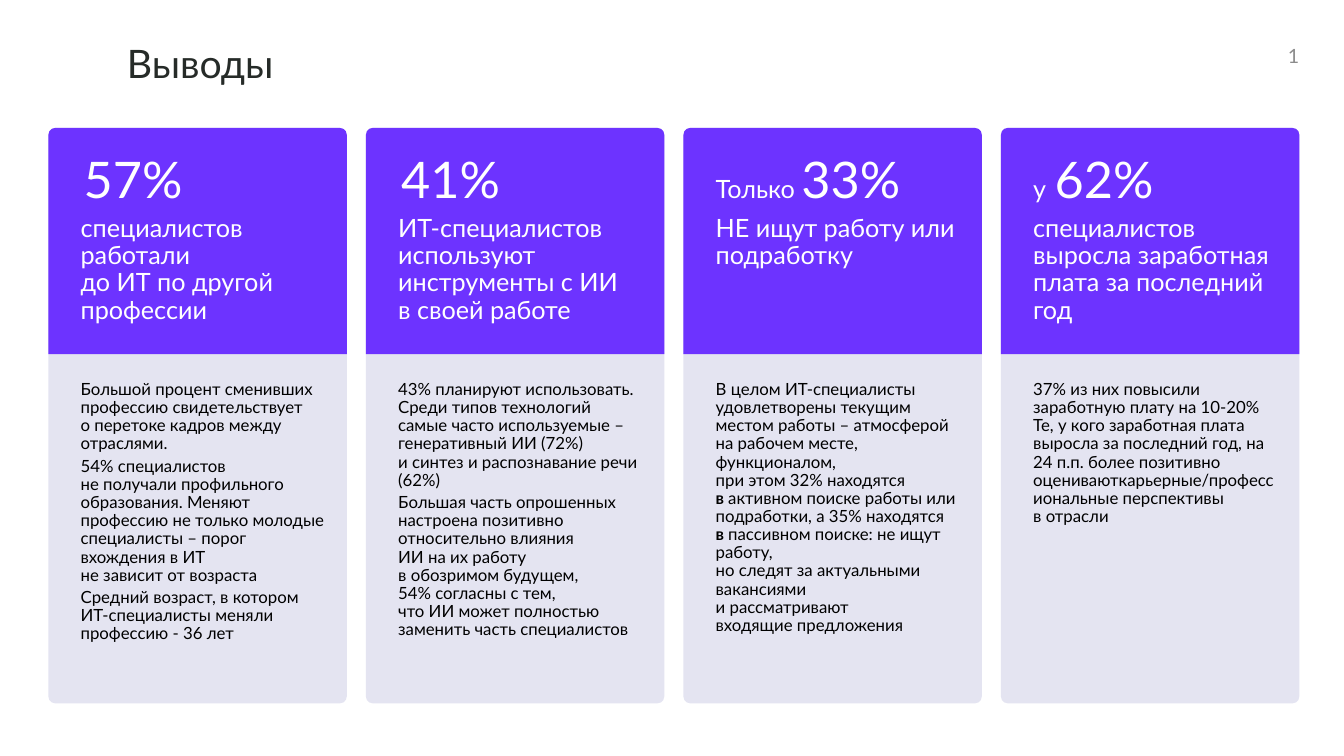
from copy import deepcopy

from lxml.etree import SubElement
from pptx import Presentation
from pptx.dml.color import RGBColor
from pptx.enum.shapes import MSO_SHAPE as Shape
from pptx.enum.text import MSO_ANCHOR as Anchor, PP_ALIGN as Align
from pptx.oxml.ns import qn
from pptx.util import Pt

COLORS = {
    "title": "262B28",
    "header": "6D33FF",
    "card": "CACAE5",
    "on_header": "FFFFFF",
    "body": "000000",
    "number": "8C8C8C",
}


class ConclusionSlide:
    font_name = "Lato"

    def __init__(self, slide):
        self.slide = slide

    def panel(self, preset, box, color, corners, opacity=100):
        panel = self.slide.shapes.add_shape(preset, *map(Pt, box))
        panel.shadow.inherit = False
        panel.line.fill.background()
        panel.fill.solid()
        panel.fill.fore_color.rgb = RGBColor.from_string(COLORS[color])
        for index, radius in enumerate(corners):
            panel.adjustments[index] = radius
        if opacity < 100:
            tint = panel.fill._xPr.find(".//" + qn("a:srgbClr"))
            SubElement(tint, qn("a:alpha"), val=str(opacity * 1000))

    def text(self, box, paragraphs, size, color, anchor=Anchor.TOP, **layout):
        """Each paragraph is a list of (text, changed font values) runs."""
        frame = self.slide.shapes.add_textbox(*map(Pt, box)).text_frame
        frame_format = {"word_wrap": True, "vertical_anchor": anchor,
                        "margin_left": 0, "margin_right": 0,
                        "margin_top": 0, "margin_bottom": 0}
        for name, value in frame_format.items():
            setattr(frame, name, value)
        for index, runs in enumerate(paragraphs):
            paragraph = frame.add_paragraph() if index else frame.paragraphs[0]
            for name, value in ({"line_spacing": 0.9} | layout).items():
                setattr(paragraph, name, value)
            for words, changes in runs:
                self.run(paragraph, words, {"size": Pt(size)} | changes, color)

    def run(self, paragraph, words, font_format, color):
        for index, line in enumerate(words.split("\n")):
            if index:
                # A line break takes the font of the line it ends
                paragraph.add_line_break()
                line_break = paragraph._p.findall(qn("a:br"))[-1]
                line_break.append(deepcopy(run.font._element))
            if not line and index:
                continue
            run = paragraph.add_run()
            run.text = line
            for name, value in ({"name": self.font_name} | font_format).items():
                setattr(run.font, name, value)
            run.font.color.rgb = RGBColor.from_string(COLORS[color])

    def card(self, left, figure, figure_width, figure_align, claim, details,
             details_width):
        text_left = left + CARD_INSET
        self.panel(Shape.ROUNDED_RECTANGLE, (left, CARD_TOP, CARD_WIDTH, 411),
                   "card", [0.023], opacity=50)
        self.panel(Shape.ROUND_2_SAME_RECTANGLE,
                   (left, CARD_TOP, CARD_WIDTH, 161.5), "header", [0.03, 0])
        self.text((text_left, 110.8, figure_width, 38.9), [figure], 36,
                  "on_header", alignment=figure_align)
        self.text((text_left, 154, TEXT_WIDTH, 77.8), [[(claim, {})]], 18,
                  "on_header", space_after=Pt(3))
        self.text((text_left, 272.2, details_width, 200), details, 12,
                  "body", space_after=Pt(3))


CARD_LEFT, CARD_TOP, CARD_WIDTH, CARD_STEP = 34.6, 91.4, 213.1, 226.8
CARD_INSET, TEXT_WIDTH = 23, 172.1
BOLD = {"bold": True}

CARDS = [
    {
        "figure": [("57%", {})],
        "figure_width": 74.9,
        "figure_align": Align.CENTER,
        "claim": "специалистов работали\nдо ИТ по другой профессии",
        "details_width": 178.6,
        "details": [
            [("Большой процент сменивших профессию свидетельствует \n"
              "о перетоке кадров между отраслями.", {})],
            [("54% специалистов \nне получали профильного образования. "
              "Меняют профессию не только молодые специалисты – порог "
              "вхождения в ИТ \nне зависит от возраста", {})],
            [("Средний возраст, в котором ИТ-специалисты меняли "
              "профессию - 36 лет", {})],
        ],
    },
    {
        "figure": [("41%", {})],
        "figure_width": 74.9,
        "figure_align": Align.CENTER,
        "claim": "ИТ-специалистов используют инструменты с ИИ\n"
                 "в своей работе",
        "details_width": TEXT_WIDTH,
        "details": [
            [("43% планируют использовать. Среди типов технологий самые "
              "часто используемые – генеративный ИИ (72%) \n"
              "и синтез и распознавание речи (62%)", {})],
            [("Большая часть опрошенных настроена позитивно относительно "
              "влияния \nИИ на их работу \nв обозримом будущем, \n"
              "54% согласны с тем, \nчто ИИ может полностью заменить часть "
              "специалистов", {})],
        ],
    },
    {
        "figure": [("Только ", {"size": Pt(18)}), ("33%", {})],
        "figure_width": TEXT_WIDTH,
        "figure_align": Align.LEFT,
        "claim": "НЕ ищут работу или подработку",
        "details_width": TEXT_WIDTH,
        "details": [
            [("В целом ИТ-специалисты удовлетворены текущим местом работы – "
              "атмосферой на рабочем месте, функционалом, \n"
              "при этом 32% находятся \n", {}),
             ("в ", BOLD),
             ("активном поиске работы или подработки, а 35% находятся ", {}),
             ("в ", BOLD),
             ("пассивном поиске: не ищут работу, \nно следят за актуальными "
              "вакансиями \nи рассматривают \nвходящие предложения", {})],
        ],
    },
    {
        "figure": [("у", {"size": Pt(18)}), (" ", {"size": Pt(24)}),
                   ("62%", {})],
        "figure_width": 120.2,
        "figure_align": Align.LEFT,
        "claim": "специалистов выросла заработная плата за последний год",
        "details_width": TEXT_WIDTH,
        "details": [
            [("37% из них повысили заработную плату на 10-20%\n"
              "Те, у кого заработная плата выросла за последний год, на "
              "24 п.п. более позитивно оцениваюткарьерные/профессиональные "
              "перспективы \nв отрасли", {})],
        ],
    },
]


def main():
    deck = Presentation()
    deck.slide_width, deck.slide_height = Pt(960), Pt(540)
    conclusions = ConclusionSlide(deck.slides.add_slide(deck.slide_layouts[6]))

    # Title and page number
    conclusions.text((90.7, 31.7, 828, 30.2), [[("Выводы", {})]], 28, "title")
    conclusions.text((887.8, 30.2, 40.3, 19.4), [[("1", {})]], 14, "number",
                     Anchor.MIDDLE, alignment=Align.RIGHT, line_spacing=1.0)

    # Four cards in a row
    for index, card in enumerate(CARDS):
        conclusions.card(CARD_LEFT + index * CARD_STEP, **card)

    deck.save("out.pptx")


if __name__ == "__main__":
    main()
